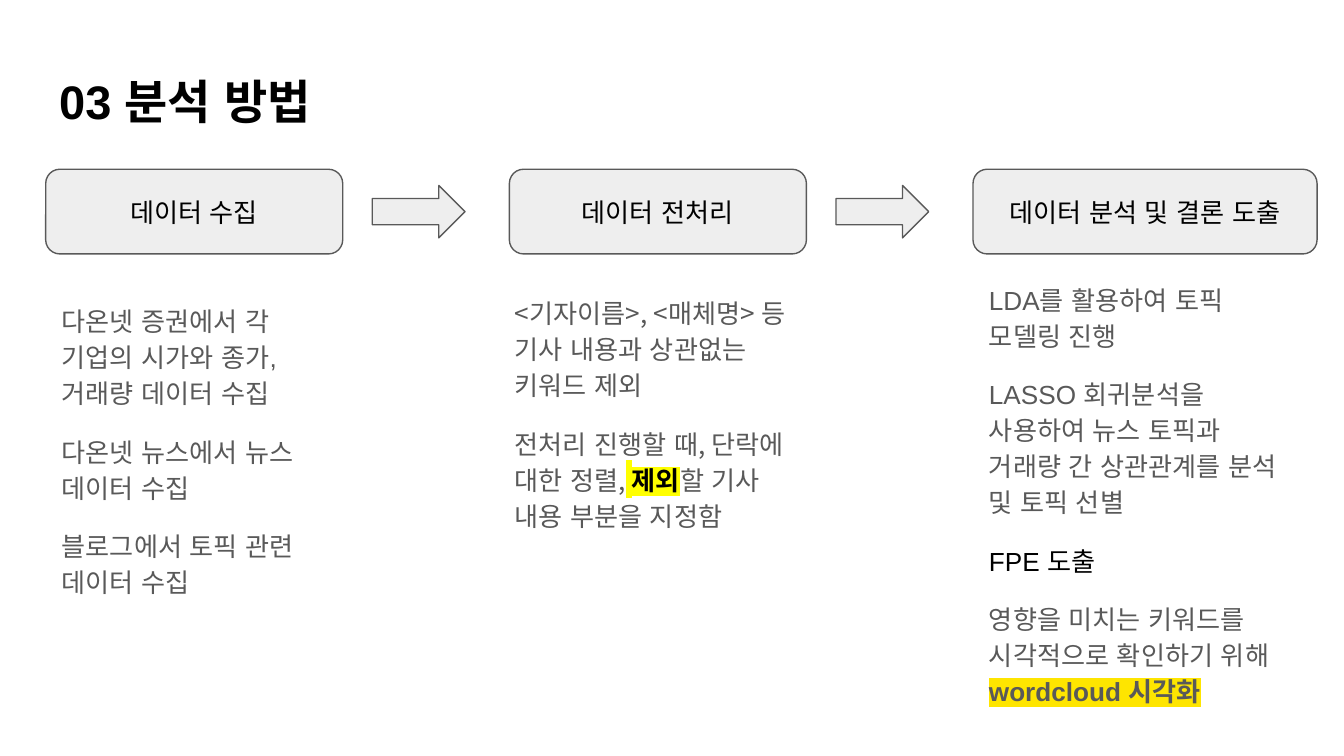
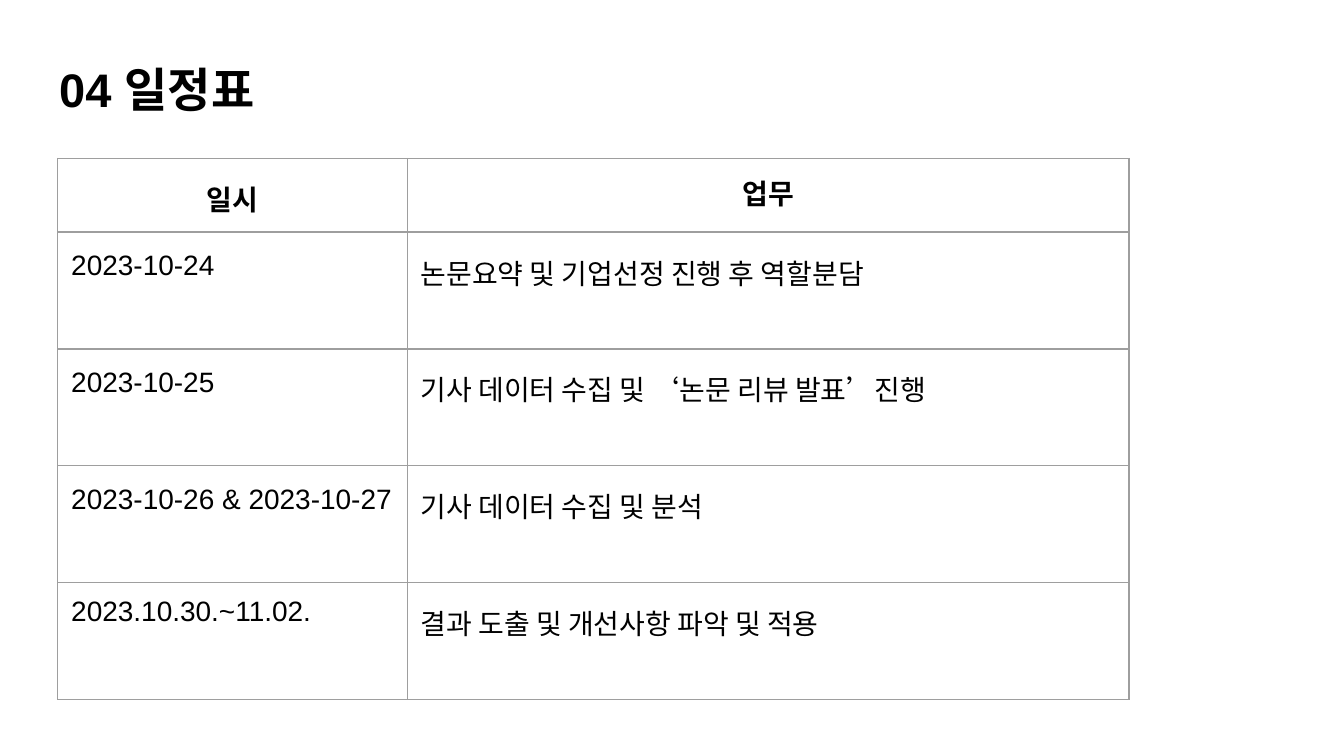
from lxml.etree import SubElement
from pptx import Presentation
from pptx.dml.color import RGBColor
from pptx.enum.shapes import MSO_SHAPE
from pptx.enum.text import MSO_ANCHOR, MSO_AUTO_SIZE, PP_ALIGN
from pptx.oxml import parse_xml
from pptx.oxml.ns import nsdecls, qn
from pptx.util import Inches, Pt

COLORS = {"ink": "000000", "body": "595959", "panel": "EEEEEE",
          "grid": "9E9E9E", "yellow": "FFFF00", "gold": "FEE500"}
SANS, KOREAN = "Arial", "Noto Sans CJK KR"
WIDTH = 10
HEIGHT = WIDTH * 9 / 16
MARGIN = 0.34
INSET = Inches(0.1)

# Each step: heading, box width, font, notes area, notes as paragraphs of (text, style) runs
STEPS = [
    ("데이터 수집", 2.21, SANS, (0.36, 2.14, 2.29, 2.89), [
        [("다온넷 증권에서 각 기업의 시가와 종가, 거래량 데이터 수집", {})],
        [("다온넷 뉴스에서 뉴스 데이터 수집", {})],
        [("블로그에서 토픽 관련 데이터 수집", {})],
    ]),
    ("데이터 전처리", 2.21, KOREAN, (3.73, 2.08, 2.34, 3.28), [
        [("<기자이름>, <매체명> 등 기사 내용과 상관없는 키워드 제외", {})],
        [("전처리 진행할 때, 단락에 대한 정렬,", {}),
         (" ", {"highlight": "yellow"}),
         ("제외", {"color": "ink", "bold": True, "highlight": "yellow"}),
         ("할 기사 내용 부분을 지정함", {})],
    ]),
    ("데이터 분석 및 결론 도출", 2.56, SANS, (7.26, 1.98, 2.5, 3.32), [
        [("LDA를 활용하여 토픽 모델링 진행", {})],
        [("LASSO 회귀분석을 사용하여 뉴스 토픽과 거래량 간 상관관계를 분석 및 토픽 선별", {})],
        [("FPE 도출", {"color": "ink"})],
        [("영향을 미치는 키워드를 시각적으로 확인하기 위해 ", {}),
         ("wordcloud 시각화", {"bold": True, "highlight": "gold"})],
    ]),
]
STEP_TOP, STEP_HEIGHT, STEP_PITCH = 1.26, 0.63, 3.45
ARROW_WIDTH, ARROW_HEIGHT, ARROW_GAP = 0.69, 0.39, 0.22

SCHEDULE = [
    ("일시", "업무"),
    ("2023-10-24", "논문요약 및 기업선정 진행 후 역할분담"),
    ("2023-10-25", "기사 데이터 수집 및 ‘논문 리뷰 발표’진행"),
    ("2023-10-26 & 2023-10-27", "기사 데이터 수집 및 분석"),
    ("2023.10.30.~11.02.", "결과 도출 및 개선사항 파악 및 적용"),
]
SINGLE_SPACED = {"업무", "2023.10.30.~11.02."}
COLUMN_WIDTHS = (2.6, 5.37)
HEADER_HEIGHT, ROW_HEIGHT = 0.51, 0.87


def rgb(name):
    return RGBColor.from_string(COLORS[name])


def add_run(paragraph, text, size, font=SANS, color="ink", bold=False,
            highlight=None, east_asian=SANS):
    run = paragraph.add_run()
    run.text = text
    run.font.size, run.font.bold, run.font.name = Pt(size), bold, font
    run.font.color.rgb = rgb(color)
    properties = run.font._element
    if east_asian:
        SubElement(properties, qn("a:ea")).set("typeface", east_asian)
    if highlight:
        properties.find(qn("a:solidFill")).addnext(parse_xml(
            f'<a:highlight {nsdecls("a")}><a:srgbClr val="{COLORS[highlight]}"/></a:highlight>'))


def set_frame(frame, anchor=MSO_ANCHOR.TOP):
    frame.word_wrap, frame.auto_size = True, MSO_AUTO_SIZE.NONE
    frame.vertical_anchor = anchor
    frame.margin_left = frame.margin_right = INSET
    frame.margin_top = frame.margin_bottom = INSET


def add_titled_slide(prs, text, top):
    slide = prs.slides.add_slide(prs.slide_layouts[5])
    title = slide.shapes.title
    title.left, title.top = Inches(MARGIN), Inches(top)
    title.width, title.height = Inches(WIDTH - 2 * MARGIN), Inches(0.63)
    set_frame(title.text_frame)
    heading = title.text_frame.paragraphs[0]
    heading.alignment = PP_ALIGN.LEFT
    add_run(heading, text, 25.2, bold=True)
    return slide


def add_panel(slide, preset, left, top, width, height):
    panel = slide.shapes.add_shape(preset, Inches(left), Inches(top), Inches(width), Inches(height))
    panel.shadow.inherit = False
    panel.fill.solid()
    panel.fill.fore_color.rgb = rgb("panel")
    panel.line.color.rgb = rgb("body")
    panel.line.width = Pt(0.75)
    return panel


def add_notes_area(slide, area, font, notes):
    frame = slide.shapes.add_textbox(*map(Inches, area)).text_frame
    set_frame(frame)
    for index, runs in enumerate(notes):
        paragraph = frame.add_paragraph() if index else frame.paragraphs[0]
        paragraph.line_spacing = 1.15
        if index:
            paragraph.space_before = Pt(12)
        for text, style in runs:
            add_run(paragraph, text, 14, **{"font": font, "color": "body", **style})


def build_method(prs):
    slide = add_titled_slide(prs, "03 분석 방법", 0.44)
    for index, (heading, width, font, area, notes) in enumerate(STEPS):
        left = MARGIN + index * STEP_PITCH
        box = add_panel(slide, MSO_SHAPE.ROUNDED_RECTANGLE, left, STEP_TOP, width, STEP_HEIGHT)
        set_frame(box.text_frame, MSO_ANCHOR.MIDDLE)
        label = box.text_frame.paragraphs[0]
        label.alignment = PP_ALIGN.CENTER
        add_run(label, heading, 14)
        if index < len(STEPS) - 1:
            add_panel(slide, MSO_SHAPE.RIGHT_ARROW, left + width + ARROW_GAP,
                      STEP_TOP + (STEP_HEIGHT - ARROW_HEIGHT) / 2, ARROW_WIDTH, ARROW_HEIGHT)
        add_notes_area(slide, area, font, notes)


def add_borders(cell):
    properties = cell._tc.get_or_add_tcPr()
    for position, side in enumerate(("lnL", "lnR", "lnT", "lnB")):
        properties.insert(position, parse_xml(
            f'<a:{side} {nsdecls("a")} w="{Pt(0.75)}"><a:solidFill>'
            f'<a:srgbClr val="{COLORS["grid"]}"/></a:solidFill></a:{side}>'))


def build_schedule(prs):
    slide = add_titled_slide(prs, "04 일정표", 0.35)
    row_heights = [HEADER_HEIGHT] + [ROW_HEIGHT] * (len(SCHEDULE) - 1)
    table = slide.shapes.add_table(
        len(SCHEDULE), len(COLUMN_WIDTHS), Inches(0.43), Inches(1.18),
        Inches(sum(COLUMN_WIDTHS)), Inches(sum(row_heights))).table
    table.first_row = table.horz_banding = False
    for column, width in zip(table.columns, COLUMN_WIDTHS):
        column.width = Inches(width)
    for row_index, (entry, height) in enumerate(zip(SCHEDULE, row_heights)):
        table.rows[row_index].height = Inches(height)
        is_header = row_index == 0
        for column_index, text in enumerate(entry):
            cell = table.cell(row_index, column_index)
            cell.fill.background()
            add_borders(cell)
            cell.margin_left = cell.margin_right = INSET
            cell.margin_top = cell.margin_bottom = INSET
            paragraph = cell.text_frame.paragraphs[0]
            paragraph.alignment = PP_ALIGN.CENTER if is_header else PP_ALIGN.LEFT
            if text not in SINGLE_SPACED:
                paragraph.line_spacing, paragraph.space_after = 1.15, Pt(12)
            add_run(paragraph, text, 15, bold=is_header, east_asian=None)


def main():
    prs = Presentation()
    prs.slide_width, prs.slide_height = Inches(WIDTH), Inches(HEIGHT)
    build_method(prs)
    build_schedule(prs)
    prs.save("out.pptx")


if __name__ == "__main__":
    main()
